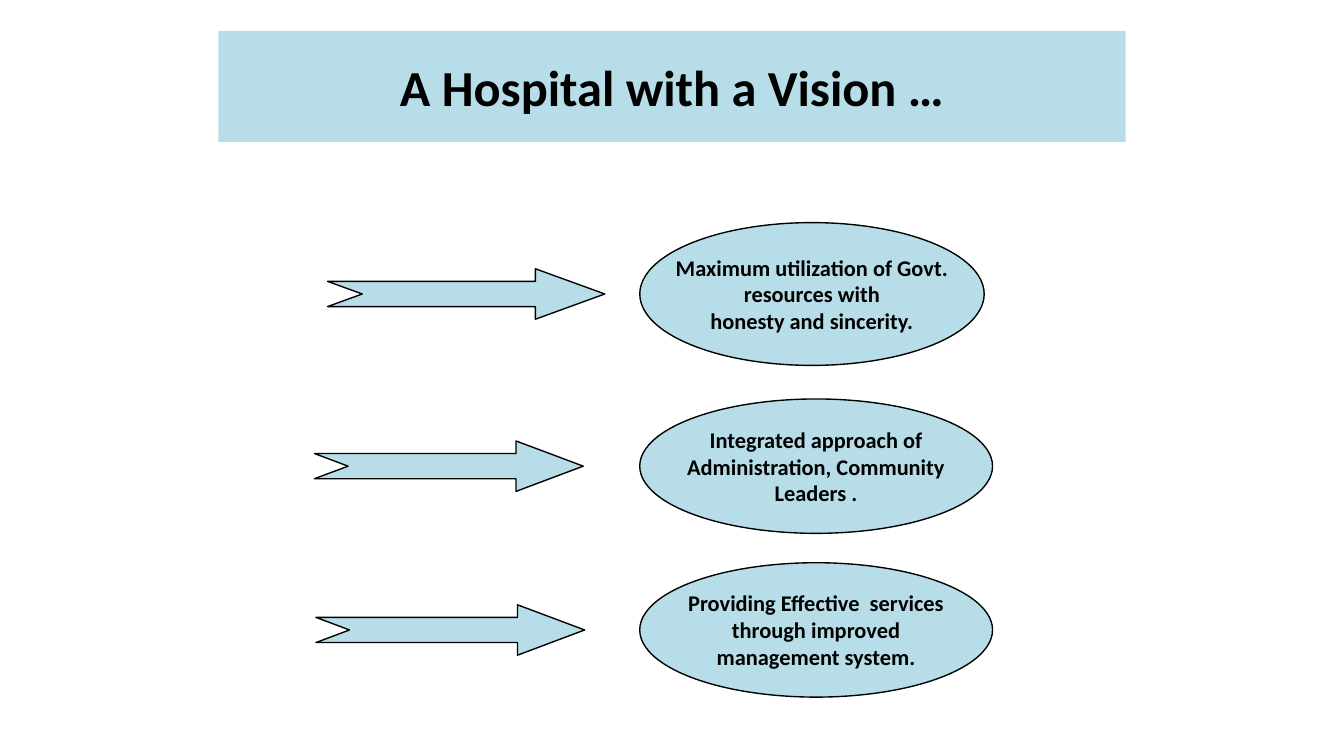
from pptx import Presentation
from pptx.dml.color import RGBColor
from pptx.enum.shapes import MSO_SHAPE as Preset
from pptx.enum.text import MSO_ANCHOR as Anchor, PP_ALIGN as Align
from pptx.util import Pt

PALE_BLUE = RGBColor(0xB7, 0xDE, 0xE8)
BLACK = RGBColor(0, 0, 0)

FONT = {"name": "Calibri", "bold": True}
ARROW_HEIGHT = 27
HEAD_LENGTH = 36
GOAL_LEFT = 342.75

GOALS = [
    {"goal": (119.25, 184.5, 76.5), "arrow": (175.5, 148.5),
     "head": 37.13,
     "lines": ["Maximum utilization of Govt.", "resources with",
               "honesty and sincerity."]},
    {"goal": (213.75, 189, 72), "arrow": (168.5, 144),
     "head": HEAD_LENGTH,
     "lines": ["Integrated approach of", "Administration, Community",
               "Leaders ."]},
    {"goal": (301.5, 189, 72), "arrow": (169.25, 144),
     "head": HEAD_LENGTH,
     "lines": ["Providing Effective  services", "through improved",
               "management system."]},
]


def add_pale_shape(slide, preset, box, outlined=True):
    shape = slide.shapes.add_shape(preset, *(Pt(length) for length in box))
    shape.shadow.inherit = False
    shape.fill.solid()
    shape.fill.fore_color.rgb = PALE_BLUE
    if outlined:
        shape.line.color.rgb = BLACK
        shape.line.width = Pt(0.75)
    else:
        shape.line.fill.background()
    return shape


def write_lines(shape, lines, size, wrap):
    frame = shape.text_frame
    frame.word_wrap = wrap
    frame.vertical_anchor = Anchor.MIDDLE
    frame.text = "\n".join(lines)
    for paragraph in frame.paragraphs:
        paragraph.alignment = Align.CENTER
        for run in paragraph.runs:
            for name, value in {**FONT, "size": Pt(size)}.items():
                setattr(run.font, name, value)
            run.font.color.rgb = BLACK


def add_title(slide, box):
    title = add_pale_shape(slide, Preset.RECTANGLE, box, outlined=False)
    write_lines(title, ["A Hospital with a Vision …"], 27, True)


def add_goal_row(slide, goal_box, arrow_left, arrow_width, head, lines):
    goal = add_pale_shape(slide, Preset.OVAL, goal_box)
    write_lines(goal, lines, 12, False)
    _, top, _, height = goal_box
    arrow_top = top + (height - ARROW_HEIGHT) / 2
    arrow = add_pale_shape(slide, Preset.NOTCHED_RIGHT_ARROW,
                           (arrow_left, arrow_top, arrow_width, ARROW_HEIGHT))
    arrow.adjustments[0] = 0.5
    arrow.adjustments[1] = head / ARROW_HEIGHT


def main():
    presentation = Presentation()
    presentation.slide_width = Pt(720)
    presentation.slide_height = Pt(405)
    slide = presentation.slides.add_slide(presentation.slide_layouts[6])
    add_title(slide, (117, 16.5, 486, 59.5))
    for row in GOALS:
        top, width, height = row["goal"]
        add_goal_row(slide, (GOAL_LEFT, top, width, height),
                     *row["arrow"], row["head"], row["lines"])
    presentation.save("out.pptx")


if __name__ == "__main__":
    main()
